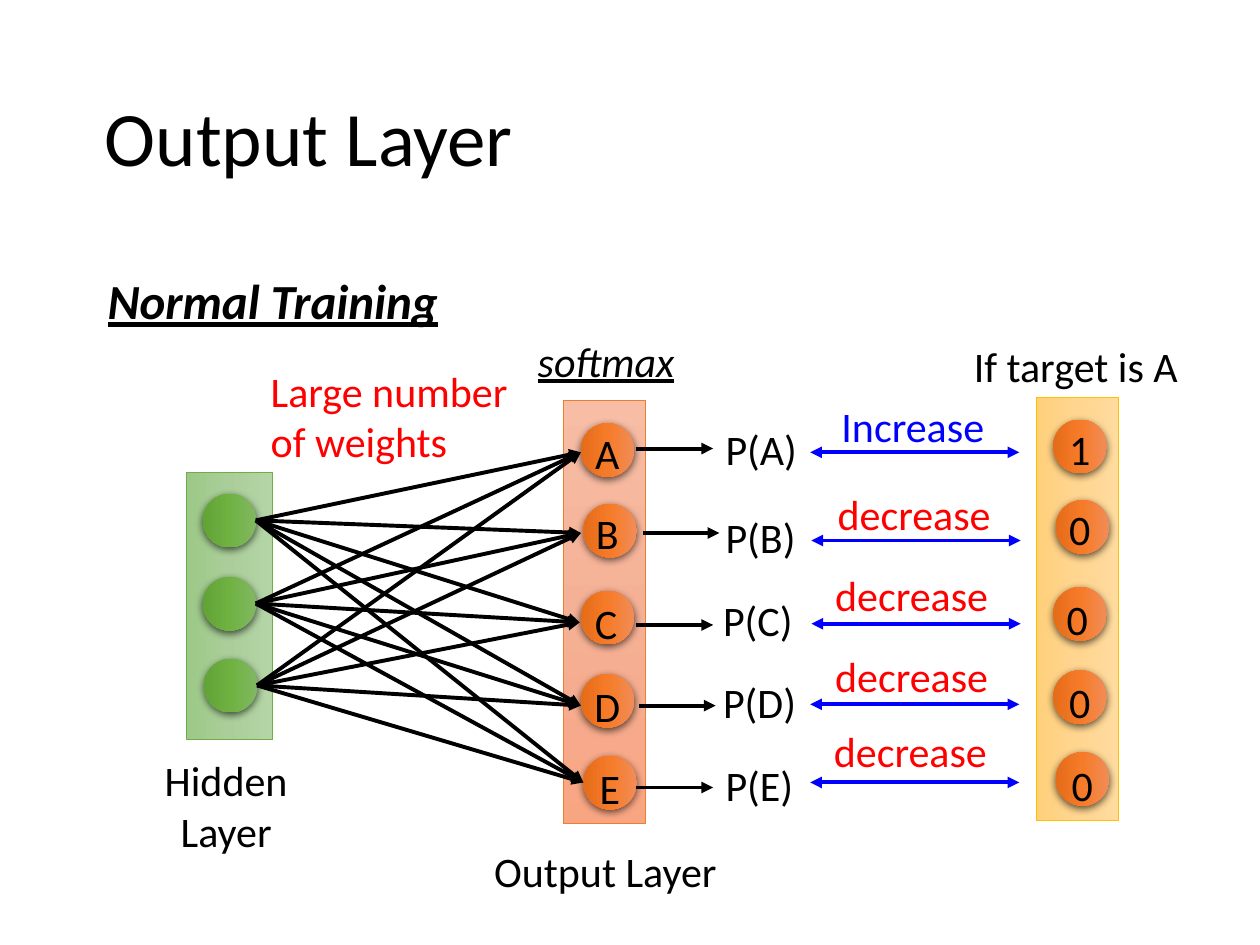
from dataclasses import dataclass

from lxml import etree
from pptx import Presentation
from pptx.dml.color import RGBColor
from pptx.enum.shapes import MSO_CONNECTOR, MSO_SHAPE
from pptx.enum.text import MSO_ANCHOR, MSO_AUTO_SIZE, PP_ALIGN
from pptx.oxml import parse_xml
from pptx.oxml.ns import qn
from pptx.util import Inches, Pt

RECT, OVAL = MSO_SHAPE.RECTANGLE, MSO_SHAPE.OVAL
STRAIGHT = MSO_CONNECTOR.STRAIGHT
LEFT, CENTER = PP_ALIGN.LEFT, PP_ALIGN.CENTER
MIDDLE = MSO_ANCHOR.MIDDLE
GROW, FIXED = MSO_AUTO_SIZE.SHAPE_TO_FIT_TEXT, MSO_AUTO_SIZE.NONE
DRAWING = 'xmlns:a="http://schemas.openxmlformats.org/drawingml/2006/main"'
COLUMNS, ROWS = 100, 75


@dataclass(frozen=True)
class Theme:
    """Colours, font and type sizes."""
    font: str = "Calibri"
    title: int = 44
    heading: int = 28
    body: int = 24
    arrow: float = 2.25
    outline: float = 0.5
    ink: str = "000000"
    up: str = "0000FF"
    down: str = "FF0000"
    orange_edge: str = "ED7D31"
    green_edge: str = "70AD47"
    yellow_edge: str = "FFC000"
    orange_panel: tuple = ("F7BDA5", "F5B196", "F8A582")
    green_panel: tuple = ("B5D5A7", "AACE9A", "9CC987")
    yellow_panel: tuple = ("FFDB9E", "FFD590", "FFD07C")
    orange_node: tuple = ("F18C57", "F67B28", "E56C19")
    green_node: tuple = ("81B861", "6FB242", "62A336")


@dataclass(frozen=True)
class OutputClass:
    """One output neuron with its probability and its target."""
    letter: str
    node: tuple
    letter_at: tuple
    probability_at: tuple
    arrow_from: tuple
    change: str
    change_at: tuple
    change_arrow: tuple
    target: str
    target_at: tuple
    tip: tuple


class NetworkSlide:
    """Draws the elements of a network diagram on a 100 by 75 grid."""

    def __init__(self, deck, theme):
        """Adds a slide with a title."""
        self.theme = theme
        self.column = deck.slide_width / COLUMNS
        self.row = deck.slide_height / ROWS
        self.slide = deck.slides.add_slide(deck.slide_layouts[5])

    def scaled(self, x, y, *more):
        """Turns alternating columns and rows into slide lengths."""
        units = (self.column, self.row) * 2
        return [round(value * unit) for value, unit in zip((x, y, *more), units)]

    def add_text(self, paragraph, wording, size, color, align=LEFT, bold=False, marked=False):
        """Adds one formatted run to a paragraph."""
        paragraph.alignment = align
        run = paragraph.add_run()
        run.text = wording
        font = run.font
        font.name, font.size = self.theme.font, Pt(size)
        font.color.rgb = RGBColor.from_string(color)
        font.bold, font.italic, font.underline = bold, marked, marked

    def title(self, wording, *box):
        """Places and fills the title placeholder."""
        heading = self.slide.shapes.title
        heading.left, heading.top, heading.width, heading.height = self.scaled(*box)
        frame = heading.text_frame
        frame.auto_size, frame.vertical_anchor = FIXED, MIDDLE
        frame.margin_left = Inches(0.14)
        frame.paragraphs[0].line_spacing = 0.9
        self.add_text(frame.paragraphs[0], wording, self.theme.title, self.theme.ink)

    def label(self, lines, x, y, width, height=5, size=None, color=None, **style):
        """Adds a text box with one paragraph for each line."""
        frame = self.slide.shapes.add_textbox(*self.scaled(x, y, width, height)).text_frame
        frame.word_wrap, frame.auto_size = True, GROW
        for index, wording in enumerate(lines):
            paragraph = frame.add_paragraph() if index else frame.paragraphs[0]
            self.add_text(paragraph, wording, size or self.theme.body,
                          color or self.theme.ink, **style)

    def turned(self, kind, box, colors, angle):
        """Adds a shape turned by a quarter with a gradient of three colours."""
        shape = self.slide.shapes.add_shape(kind, *self.scaled(*box))
        shape.rotation = 90
        shape.shadow.inherit = False
        stops = "".join(f'<a:gs pos="{place}"><a:srgbClr val="{color}"/></a:gs>'
                        for place, color in zip((0, 50000, 100000), colors))
        shape._element.spPr.find(qn("a:prstGeom")).addnext(parse_xml(
            f'<a:gradFill {DRAWING} rotWithShape="1"><a:gsLst>{stops}</a:gsLst>'
            f'<a:lin ang="{angle * 60000}" scaled="0"/></a:gradFill>'))
        return shape

    def panel(self, box, colors, edge, angle=90):
        """Adds the background of a layer."""
        panel = self.turned(RECT, box, colors, angle)
        panel.line.color.rgb = RGBColor.from_string(edge)
        panel.line.width = Pt(self.theme.outline)

    def node(self, x, y, colors):
        """Adds a neuron with a soft shadow."""
        neuron = self.turned(OVAL, (x, y, 4.25, 4.25), colors, 90)
        neuron.line.fill.background()
        neuron._element.spPr.find(qn("a:effectLst")).append(parse_xml(
            f'<a:outerShdw {DRAWING} blurRad="{Pt(4.5)}" dist="{Pt(1.5)}" dir="5400000" '
            'algn="ctr" rotWithShape="0"><a:srgbClr val="000000">'
            '<a:alpha val="63000"/></a:srgbClr></a:outerShdw>'))

    def arrow(self, start, end, color=None, ends=("tailEnd",)):
        """Adds a straight arrow between two points."""
        line = self.slide.shapes.add_connector(STRAIGHT, *self.scaled(*start, *end))
        line.line.color.rgb = RGBColor.from_string(color or self.theme.ink)
        line.line.width = Pt(self.theme.arrow)
        for end_tag in ends:
            etree.SubElement(line.line._get_or_add_ln(), qn(f"a:{end_tag}"), type="triangle")
        etree.SubElement(line._element.spPr, qn("a:effectLst"))

    def level_arrow(self, start, length, *style):
        """Adds a horizontal arrow of a given length."""
        self.arrow(start, (start[0] + length, start[1]), *style)


CLASSES = [
    OutputClass("A", (46.1, 33.6), (46.1, 33.4), (56.6, 33.1), (50.5, 35.6), "Increase",
                (65.8, 31.3), (64.3, 35.9), "1", (83.6, 33.1), (46.1, 35.9)),
    OutputClass("B", (46.3, 40), (46.1, 39.8), (56.6, 40.1), (51, 42.3), "decrease",
                (65.5, 38.3), (64.4, 42.9), "0", (83.6, 39.5), (46.1, 42.3)),
    OutputClass("C", (46.1, 46.9), (46, 46.9), (56.4, 46.7), (50.5, 49.6), "decrease",
                (65.3, 44.7), (64.4, 49.5), "0", (83.4, 46.6), (46, 49.4)),
    OutputClass("D", (46.1, 53.5), (46.1, 53.5), (56.4, 53.2), (50.7, 56), "decrease",
                (65.3, 51.1), (64.3, 55.9), "0", (83.6, 53.2), (46.1, 56)),
    OutputClass("E", (46.3, 60), (46.3, 60), (56.6, 59.8), (50.5, 62.5), "decrease",
                (65.2, 57.1), (64.3, 62.1), "0", (83.8, 59.8), (46.3, 62.1)),
]
HIDDEN = [(16.1, 39.2), (16.1, 45.8), (16.2, 52.3)]


def main():
    """Builds and saves the slide."""
    theme = Theme()
    deck = Presentation()
    deck.slide_width, deck.slide_height = Inches(10), Inches(7.5)
    page = NetworkSlide(deck, theme)

    page.title("Output Layer", 6.9, 4, 86.2, 14.5)
    page.label(["Normal Training"], 6, 21, 31.3, 5.7, theme.heading,
               align=CENTER, bold=True, marked=True)

    page.panel((31.2, 45.3, 33.6, 6.5), theme.orange_panel, theme.orange_edge, angle=0)
    page.panel((7.6, 44.7, 21.2, 6.8), theme.green_panel, theme.green_edge)
    page.panel((68.7, 45.1, 33.6, 6.5), theme.yellow_panel, theme.yellow_edge)
    for x, y in HIDDEN:
        page.node(x, y, theme.green_node)

    for output in CLASSES:
        x, y = output.node
        page.node(x, y, theme.orange_node)
        page.node(x + 37.5, y - 0.3, theme.orange_node)
        page.label([output.letter], *output.letter_at, 4.2, align=CENTER)
        page.label([output.target], *output.target_at, 4.2, align=CENTER)
        page.label([f"P({output.letter})"], *output.probability_at, 11.5)
        page.level_arrow(output.arrow_from, 6.1)
        page.level_arrow(output.change_arrow, 16.6, theme.up, ("headEnd", "tailEnd"))
        color = theme.up if output.change == "Increase" else theme.down
        page.label([output.change], *output.change_at, 15, color=color)
        for left, top in HIDDEN:
            page.arrow((left + 4.2, top + 2.1), output.tip)

    page.label(["softmax"], 41.1, 26.1, 14, align=CENTER, marked=True)
    page.label(["If target is A"], 76.3, 26.5, 20.5)
    page.label(["Hidden", "Layer"], 10.5, 59.4, 14.9, 9.1, align=CENTER)
    page.label(["Output Layer"], 36, 66.6, 24.1, align=CENTER)
    page.label(["Large number of weights"], 20.5, 28.5, 21.3, 9.1, color=theme.down)
    deck.save("out.pptx")


if __name__ == "__main__":
    main()
